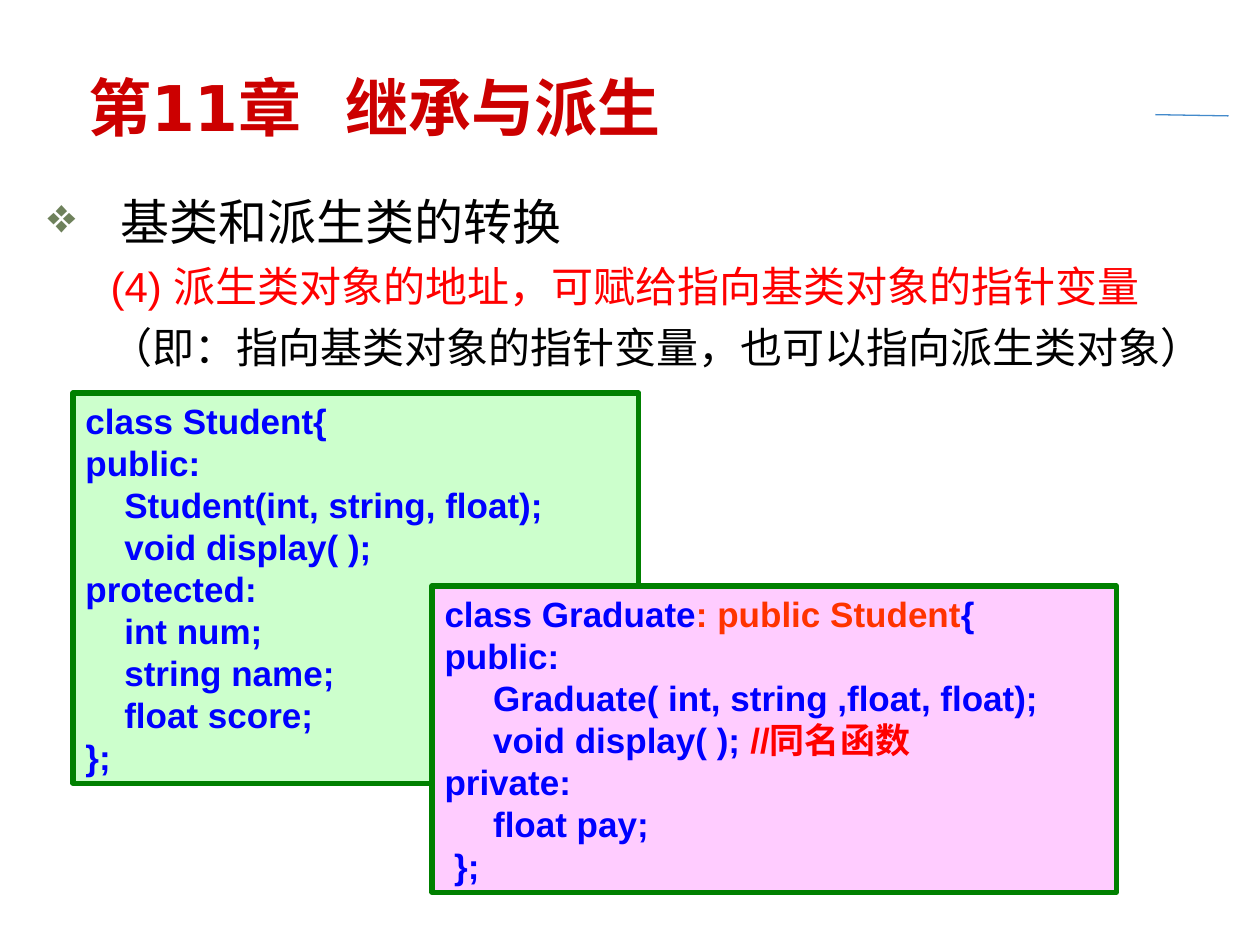
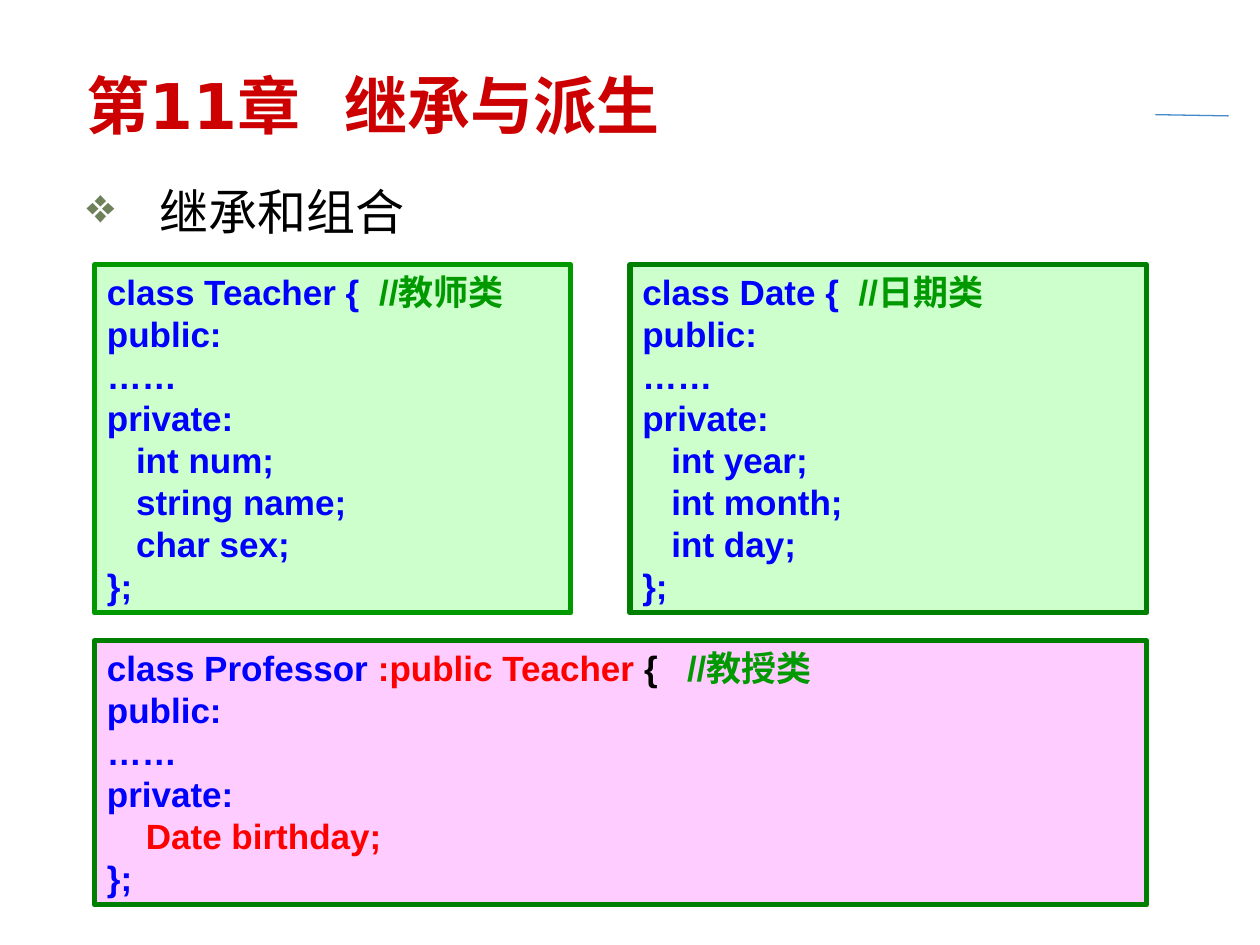
"""Builds two slides on inheritance and derived classes in C++."""
from dataclasses import dataclass

from lxml import etree
from pptx import Presentation
from pptx.dml.color import RGBColor
from pptx.enum.shapes import MSO_CONNECTOR, MSO_SHAPE
from pptx.enum.text import MSO_ANCHOR, PP_ALIGN
from pptx.oxml.ns import qn
from pptx.util import Inches, Pt

RECT, LINE = MSO_SHAPE.RECTANGLE, MSO_CONNECTOR.STRAIGHT
TOP, MID, LEFT = MSO_ANCHOR.TOP, MSO_ANCHOR.MIDDLE, PP_ALIGN.LEFT


@dataclass(frozen=True)
class Theme:
    """Colours, fonts and sizes that the slides share."""
    title: str = "CC0000"
    black: str = "000000"
    blue: str = "0000FF"
    red: str = "FF0000"
    flame: str = "FF3300"
    leaf: str = "009900"
    edge: str = "008000"
    mint: str = "CCFFCC"
    pink: str = "FFCCFF"
    mark: str = "6E815B"
    rule: str = "438ACB"
    head_font: str = "DejaVu Sans"
    code_font: str = "Arial"
    head_size: int = 36
    topic_size: int = 28
    note_size: int = 24
    code_size: int = 20


T = Theme()
WIDE, HIGH = 10, 7.5
ROW, PAD = 0.333, 0.1
HANG, STEP = 0.58, 0.5
EDGE_L, EDGE_R, MID_L, MID_R, ROW_1, GAP = 0.75, 9.1, 4.53, 5, 2.1, 0.22

TITLE = "第11章  继承与派生"

STUDENT = [
    "class Student{",
    "public:",
    "    Student(int, string, float);",
    "    void display( );",
    "protected:",
    "    int num;",
    "    string name;",
    "    float score;",
    "};",
]
GRADUATE = [
    ["class Graduate", (": public Student", T.flame), "{"],
    "public:",
    "     Graduate( int, string ,float, float);",
    ["     void display( ); ", ("//同名函数", T.red)],
    "private:",
    "     float pay;",
    " };",
]
TEACHER = [
    ["class Teacher {  ", ("//教师类", T.leaf)],
    "public:",
    "……",
    "private:",
    "   int num;",
    "   string name;",
    "   char sex;",
    "};",
]
DATE = [
    ["class Date {  ", ("//日期类", T.leaf)],
    "public:",
    "……",
    "private:",
    "   int year;",
    "   int month;",
    "   int day;",
    "};",
]
PROFESSOR = [
    ["class Professor ", (":public Teacher ", T.red), ("{   ", T.black),
     ("//教授类", T.leaf)],
    "public:",
    "……",
    "private:",
    ["    ", ("Date birthday;", T.red)],
    "};",
]


def deep(lines):
    """Gives the height of a code box from its rows."""
    return len(lines) * ROW + PAD


ROW_2 = ROW_1 + deep(TEACHER) + GAP

SLIDES = [
    {
        "title": (0.6, 0.53),
        "body": (0.28, 1.47, 9.44),
        "topic": "基类和派生类的转换",
        "notes": [
            ("(4) 派生类对象的地址，可赋给指向基类对象的指针变量", T.red),
            ("（即：指向基类对象的指针变量，也可以指向派生类对象）", T.black),
        ],
        "code": [
            (STUDENT, 0.58, 3.12, 4.49, T.mint, T.edge),
            (GRADUATE, 3.43, 4.65, 5.43, T.pink, T.edge),
        ],
    },
    {
        "title": (0.59, 0.52),
        "body": (0.59, 1.39, 9.14),
        "topic": "继承和组合",
        "notes": [],
        "code": [
            (TEACHER, EDGE_L, ROW_1, MID_L - EDGE_L, T.mint, T.leaf),
            (DATE, MID_R, ROW_1, EDGE_R - MID_R, T.mint, T.edge),
            (PROFESSOR, EDGE_L, ROW_2, EDGE_R - EDGE_L, T.pink, T.edge),
        ],
    },
]


def rgb(code):
    """Turns a hex code into a colour."""
    return RGBColor.from_string(code)


def write(para, text, size=T.code_size, font=T.code_font, color=T.blue,
          bold=False, before=0, left=0, hang=0, mark=None):
    """Fills a paragraph with text or with coloured parts."""
    para.alignment = LEFT
    props = para._p.get_or_add_pPr()
    props.set("marL", str(Inches(left)))
    props.set("indent", str(Inches(-hang)))
    if mark:
        tint = etree.SubElement(props, qn("a:buClr"))
        etree.SubElement(tint, qn("a:srgbClr"), val=T.mark)
        etree.SubElement(props, qn("a:buChar"), char=mark)
    if before:
        para.space_before = Pt(before)
    for part in [text] if isinstance(text, str) else text:
        words, tone = (part, color) if isinstance(part, str) else part
        run = para.add_run()
        run.text = words
        run.font.size, run.font.bold, run.font.name = Pt(size), bold, font
        run.font.color.rgb = rgb(tone)
        etree.SubElement(run._r.rPr, qn("a:ea"), typeface=font)


def frame(shape, anchor=TOP):
    """Readies the text frame of a shape."""
    text = shape.text_frame
    text.word_wrap, text.vertical_anchor = True, anchor
    return text


def area(slide, left, top, width, height, anchor=TOP):
    """Adds a text box and gives its frame."""
    spot = map(Inches, (left, top, width, height))
    return frame(slide.shapes.add_textbox(*spot), anchor)


def rule(slide):
    """Draws the short line at the right of the title."""
    ends = map(Inches, (9.17, 0.91, 9.75, 0.92))
    line = slide.shapes.add_connector(LINE, *ends)
    line.line.color.rgb, line.line.width = rgb(T.rule), Pt(0.75)
    etree.SubElement(line._element.spPr, qn("a:effectLst"))


def code(slide, lines, left, top, width, fill, edge):
    """Adds a framed box of code."""
    spot = map(Inches, (left, top, width, deep(lines)))
    box = slide.shapes.add_shape(RECT, *spot)
    box.shadow.inherit = False
    box.fill.solid()
    box.fill.fore_color.rgb = rgb(fill)
    box.line.color.rgb, box.line.width = rgb(edge), Pt(3)
    text = frame(box)
    for n, line in enumerate(lines):
        para = text.add_paragraph() if n else text.paragraphs[0]
        write(para, line, bold=True)


def build(deck, data):
    """Adds one slide."""
    slide = deck.slides.add_slide(deck.slide_layouts[6])
    rule(slide)
    head = area(slide, *data["title"], 8.49, 0.62, anchor=MID)
    write(head.paragraphs[0], TITLE, size=T.head_size, font=T.head_font,
          color=T.title, bold=True)
    body = area(slide, *data["body"], 5.36)
    write(body.paragraphs[0], data["topic"], size=T.topic_size,
          font=T.head_font, color=T.black, left=HANG, hang=HANG, mark="❖")
    for note, tone in data["notes"]:
        write(body.add_paragraph(), note, size=T.note_size, color=tone,
              before=6, left=STEP + HANG, hang=HANG)
    for item in data["code"]:
        code(slide, *item)


def main():
    """Builds and saves the deck."""
    deck = Presentation()
    deck.slide_width, deck.slide_height = Inches(WIDE), Inches(HIGH)
    for data in SLIDES:
        build(deck, data)
    deck.save("out.pptx")


if __name__ == "__main__":
    main()
